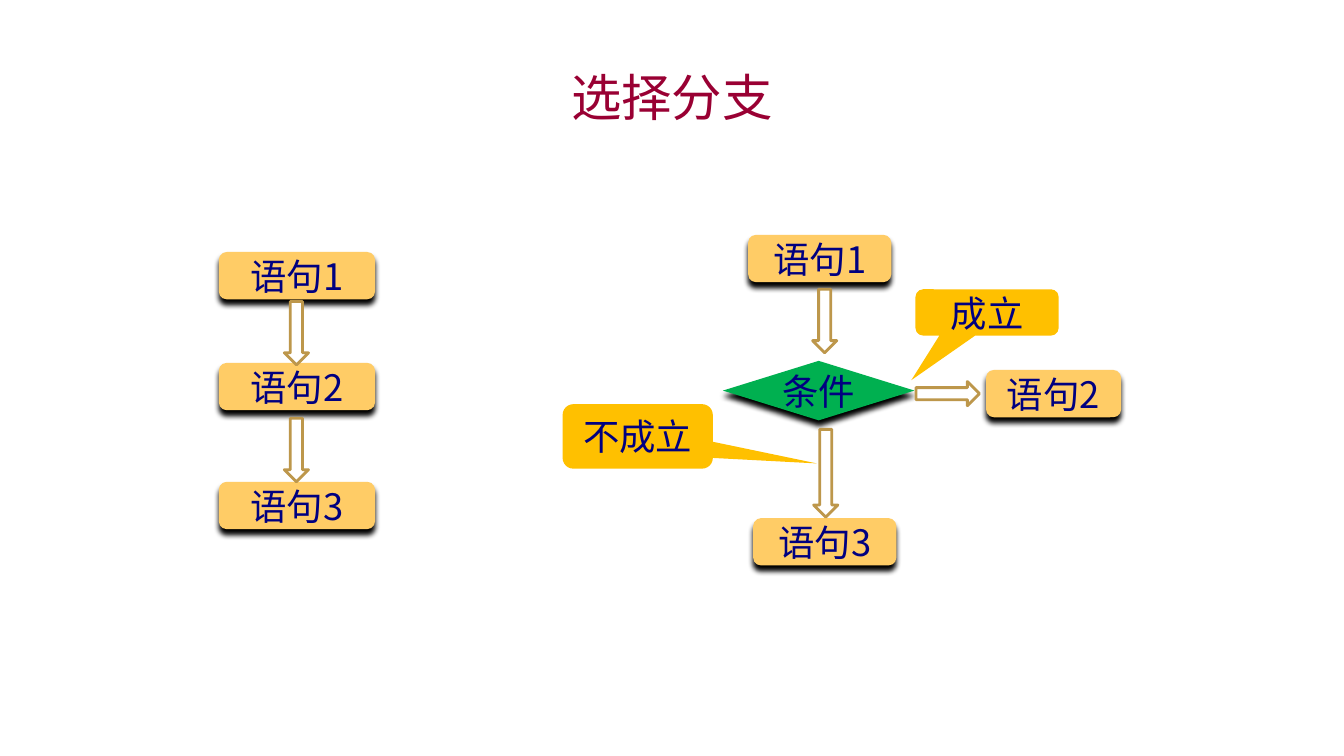
from lxml import etree
from pptx import Presentation
from pptx import util as u
from pptx.dml.color import RGBColor
from pptx.enum import shapes, text
from pptx.oxml import ns

FONT = "Noto Sans CJK SC"
TITLE_RED = RGBColor(0x99, 0x00, 0x33)
NAVY = RGBColor(0x00, 0x00, 0x80)
SAND = RGBColor(0xFF, 0xCC, 0x66)
GREEN = RGBColor(0x00, 0xB0, 0x50)
AMBER = RGBColor(0xFF, 0xC0, 0x00)
WHITE = RGBColor(0xFF, 0xFF, 0xFF)
BRONZE = RGBColor(0xBD, 0x97, 0x4B)

KIND = shapes.MSO_SHAPE
BOX_HEIGHT = 0.47
ARROW_WIDTH = 0.24


def write_text(shape, wording, size, color):
    frame = shape.text_frame
    frame.text = wording
    frame.vertical_anchor = text.MSO_ANCHOR.MIDDLE
    paragraph = frame.paragraphs[0]
    paragraph.alignment = text.PP_ALIGN.CENTER
    run = paragraph.runs[0]
    run.font.size = u.Pt(size)
    run.font.name = FONT
    run.font.color.rgb = color
    east_asian = etree.SubElement(run.font._element, ns.qn("a:ea"))
    east_asian.set("typeface", FONT)


def add_shadow(shape):
    effects = shape._element.spPr.find(ns.qn("a:effectLst"))
    shadow = etree.SubElement(effects, ns.qn("a:outerShdw"), blurRad=str(u.Pt(4)),
                              dist=str(u.Pt(4)), dir="5400000", algn="ctr", rotWithShape="0")
    etree.SubElement(shadow, ns.qn("a:srgbClr"), val="000000")


def add_filled(slide, kind, left, top, width, height, color):
    shape = slide.shapes.add_shape(kind, u.Inches(left), u.Inches(top),
                                   u.Inches(width), u.Inches(height))
    shape.shadow.inherit = False
    shape.fill.solid()
    shape.fill.fore_color.rgb = color
    shape.line.fill.background()
    return shape


def add_label(slide, kind, wording, left, top, width, height, color):
    shape = add_filled(slide, kind, left, top, width, height, color)
    frame = shape.text_frame
    frame.margin_left = frame.margin_right = frame.margin_top = frame.margin_bottom = 0
    frame.word_wrap = False
    write_text(shape, wording, 26, NAVY)
    return shape


def add_statement(slide, wording, left, top, width):
    add_shadow(add_label(slide, KIND.ROUNDED_RECTANGLE, wording,
                         left, top, width, BOX_HEIGHT, SAND))


def add_condition(slide, wording, left, top, width, height):
    add_shadow(add_label(slide, KIND.DIAMOND, wording, left, top, width, height, GREEN))


def add_callout(slide, wording, left, top, width, height, tip):
    callout = add_label(slide, KIND.ROUNDED_RECTANGULAR_CALLOUT, wording,
                        left, top, width, height, AMBER)
    callout.adjustments[0], callout.adjustments[1] = tip


def add_arrow(slide, left, top, length=0.63, rotation=0):
    arrow = add_filled(slide, KIND.DOWN_ARROW, left, top, ARROW_WIDTH, length, WHITE)
    arrow.line.color.rgb = BRONZE
    arrow.line.width = u.Pt(2)
    arrow.rotation = rotation


def add_title(slide, wording):
    title = slide.shapes.title
    title.left, title.top = u.Inches(1), u.Inches(0.58)
    title.width, title.height = u.Inches(11.33), u.Inches(0.75)
    write_text(title, wording, 36, TITLE_RED)


def add_sequence(slide):
    for number, top in enumerate((2.5, 3.6, 4.78), start=1):
        add_statement(slide, f"语句{number}", 2.17, top, 1.55)
    for top in (2.99, 4.15):
        add_arrow(slide, 2.82, top)


def add_branch(slide):
    add_condition(slide, "条件", 7.17, 3.58, 1.9, 0.59)
    add_callout(slide, "成立", 9.08, 2.87, 1.42, 0.46, (-0.529, 1.46))
    add_callout(slide, "不成立", 5.58, 4.01, 1.49, 0.64, (1.193, 0.419))
    add_statement(slide, "语句1", 7.42, 2.33, 1.42)
    add_statement(slide, "语句2", 9.78, 3.67, 1.34)
    add_arrow(slide, 8.06, 2.87)
    add_statement(slide, "语句3", 7.47, 5.14, 1.42)
    add_arrow(slide, 8.07, 4.26, length=0.87)
    add_arrow(slide, 9.28, 3.59, rotation=270)


def main():
    presentation = Presentation()
    presentation.slide_width = u.Inches(13.33)
    presentation.slide_height = u.Inches(7.5)
    slide = presentation.slides.add_slide(presentation.slide_layouts[5])
    add_title(slide, "选择分支")
    add_sequence(slide)
    add_branch(slide)
    presentation.save("out.pptx")


if __name__ == "__main__":
    main()
